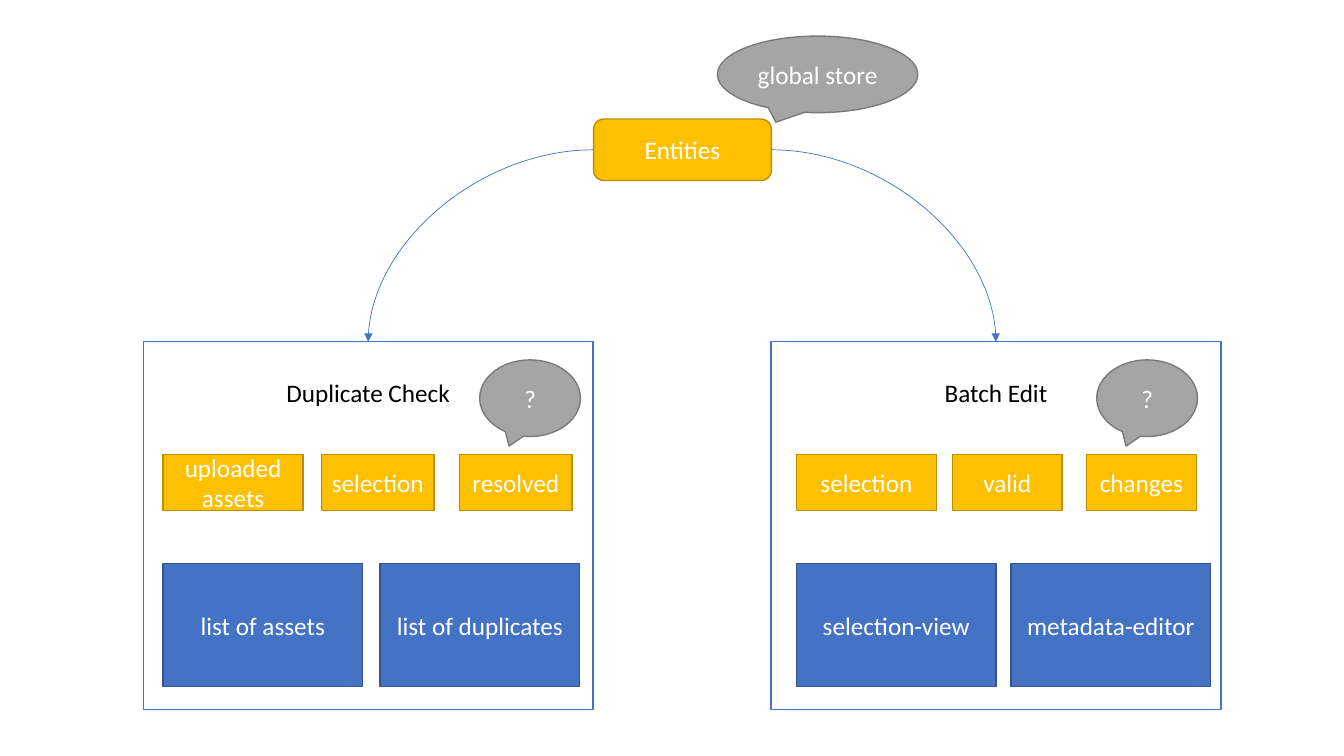
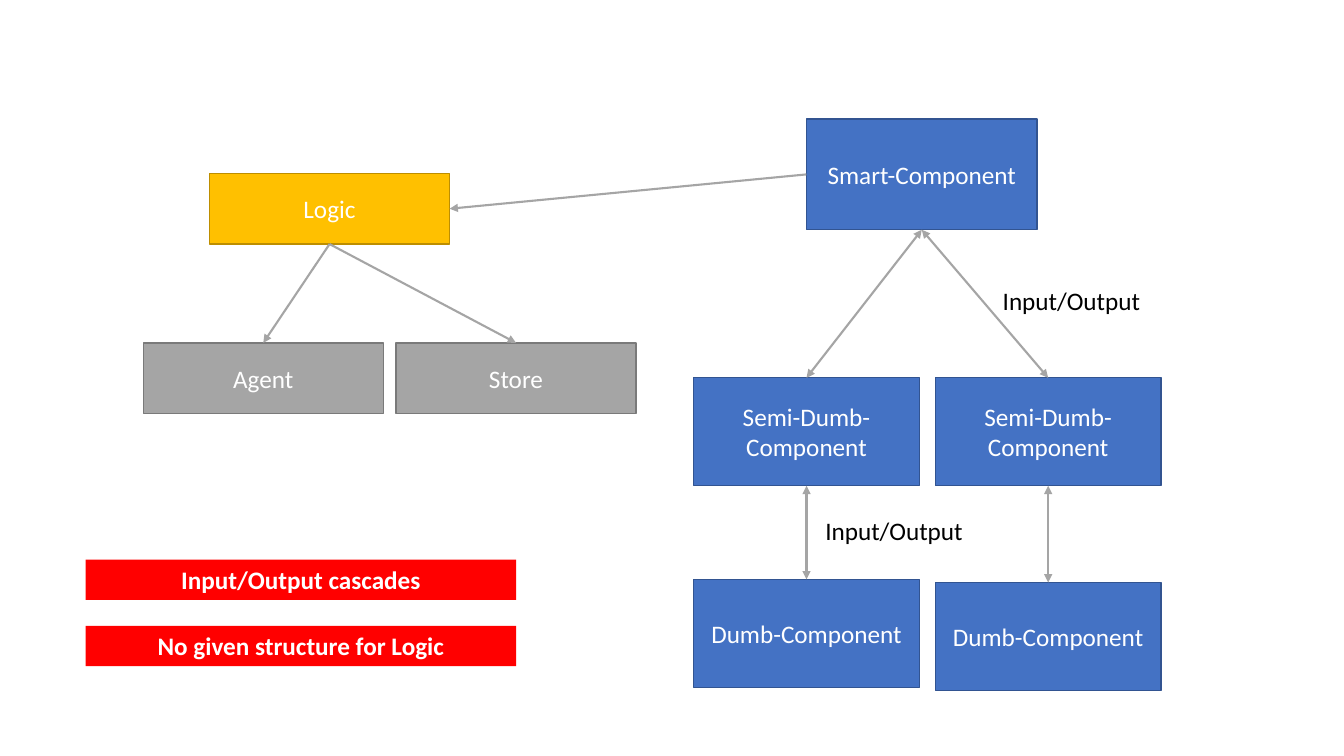
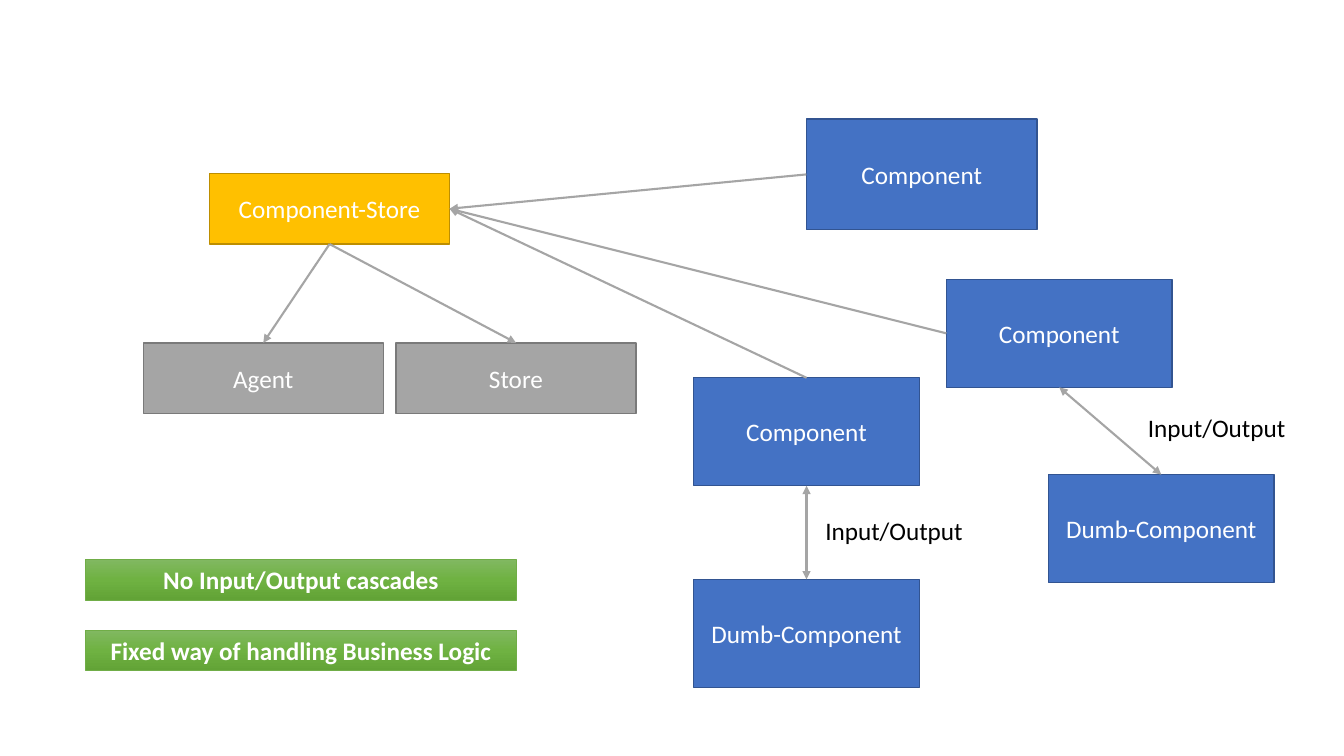
from copy import deepcopy

from lxml.etree import SubElement
from pptx import Presentation
from pptx.dml.color import RGBColor
from pptx.enum.shapes import MSO_CONNECTOR as CXN, MSO_SHAPE as SHAPE
from pptx.enum.text import MSO_ANCHOR as ANCHOR, MSO_AUTO_SIZE as AUTO, PP_ALIGN as ALIGN
from pptx.oxml.ns import qn
from pptx.util import Cm, Pt

BLUE, GOLD, GREY = ("4472C4", "325491"), ("FFC000", "BD8E00"), ("A5A5A5", "7A7A7A")
PANEL, RED = ("FFFFFF", "4472C4"), ("FF0000", None)
GREEN = (("81B861", "6FB242", "62A336"), "70AD47")
TOP, LEFT, BOTTOM, RIGHT = range(4)
COMPONENT = (5.69, 2.72)


def rgb(value):
    """Turn a hex string into a colour."""
    return RGBColor.from_string(value)


def write(tf, text, color="FFFFFF", bold=False, align=ALIGN.CENTER, anchor=ANCHOR.MIDDLE):
    """Put one formatted paragraph into a text frame."""
    tf.vertical_anchor = anchor
    p = tf.paragraphs[0]
    p.alignment = align
    r = p.add_run()
    r.text = text
    r.font.name, r.font.size, r.font.bold = "Calibri", Pt(18), bold
    r.font.color.rgb = rgb(color)


class Deck:
    """Holds the style and the current slide."""

    def __init__(self):
        """Start an empty widescreen presentation."""
        self.prs = Presentation()
        self.prs.slide_width, self.prs.slide_height = Cm(33.87), Cm(19.05)

    def new_slide(self):
        """Add a blank slide and make it current."""
        self.s = self.prs.slides.add_slide(self.prs.slide_layouts[6])

    def box(self, text, x, y, w, h, style=BLUE, kind=SHAPE.RECTANGLE, width=1, **fmt):
        """Draw a preset shape with text."""
        fill, line = style
        sp = self.s.shapes.add_shape(kind, Cm(x), Cm(y), Cm(w), Cm(h))
        sp.shadow.inherit = False
        if isinstance(fill, tuple):
            self.gradient(sp, fill)
        else:
            sp.fill.solid()
            sp.fill.fore_color.rgb = rgb(fill)
        if line:
            sp.line.color.rgb = rgb(line)
            sp.line.width = Pt(width)
        else:
            sp.line.fill.background()
        write(sp.text_frame, text, **fmt)
        return sp

    def gradient(self, sp, colors):
        """Fill a shape from top to bottom with three colours."""
        sp.fill.gradient()
        sp.fill.gradient_angle = 270
        stops = sp._element.spPr.find(".//" + qn("a:gsLst"))
        stops.insert(1, deepcopy(stops[0]))
        stops[1].set("pos", "50000")
        for stop, color in zip(sp.fill.gradient_stops, colors):
            stop.color.rgb = rgb(color)

    def panel(self, title, x):
        """Draw a framed panel with its title near the top."""
        sp = self.box(title, x, 8.61, 11.34, 9.27, PANEL, color="000000", anchor=ANCHOR.TOP)
        sp.text_frame.margin_top = Cm(0.9)
        return sp

    def callout(self, text, x, y, w):
        """Draw an oval speech bubble."""
        self.box(text, x, y, w, 1.93, GREY, SHAPE.OVAL_CALLOUT)

    def banner(self, text, y, style):
        """Draw a bold one-line verdict."""
        self.box(text, 2.16, y, 10.85, 1.02, style, width=0.5, bold=True, anchor=ANCHOR.TOP)

    def label(self, x, y, text="Input/Output"):
        """Write a free label beside an arrow."""
        tf = self.s.shapes.add_textbox(Cm(x), Cm(y), Cm(4.01), Cm(1.02)).text_frame
        tf.word_wrap, tf.auto_size = False, AUTO.SHAPE_TO_FIT_TEXT
        write(tf, text, color="000000", align=ALIGN.LEFT, anchor=ANCHOR.TOP)

    def arrow(self, start, start_side, end, end_side, both=False, curved=False):
        """Join two shapes with an arrow."""
        kind = CXN.CURVE if curved else CXN.STRAIGHT
        c = self.s.shapes.add_connector(kind, 0, 0, 0, 0)
        c.begin_connect(start, start_side)
        c.end_connect(end, end_side)
        c.line.color.rgb = rgb("4472C4" if curved else "A5A5A5")
        c.line.width = Pt(0.5 if curved else 1.5)
        pr = c._element.spPr
        if curved:
            pr.find(qn("a:prstGeom")).set("prst", "curvedConnector2")
        for tag in ("headEnd", "tailEnd") if both else ("tailEnd",):
            SubElement(pr.find(qn("a:ln")), qn("a:" + tag), type="triangle")
        SubElement(pr, qn("a:effectLst"))

    def logic_tree(self, name, root):
        """Draw the logic box with its two helpers and the root component using it."""
        top = self.box(root, 20.32, 3, 5.82, 2.79)
        logic = self.box(name, 5.28, 4.37, 6.05, 1.78, GOLD)
        for text, x in (("Agent", 3.61), ("Store", 9.98)):
            helper = self.box(text, x, 8.64, 6.05, 1.78, GREY)
            self.arrow(logic, BOTTOM, helper, TOP)
        self.arrow(top, LEFT, logic, RIGHT)
        return logic, top

    def component_pair(self, text, x, y, child_x, child_y):
        """Draw a component linked both ways with a dumb one below."""
        parent = self.box(text, x, y, *COMPONENT)
        child = self.box("Dumb-Component", child_x, child_y, *COMPONENT)
        self.arrow(parent, BOTTOM, child, TOP, both=True)
        return parent


def store_slide(d):
    """Show the global store feeding two views."""
    d.new_slide()
    entities = d.box("Entities", 14.96, 3, 4.48, 1.55, GOLD, SHAPE.ROUNDED_RECTANGLE)
    views = (
        ("Duplicate Check", 3.61, LEFT, 12.09,
         (("uploaded assets", 4.11, 3.53), ("selection", 8.1, 2.84), ("resolved", 11.58, 2.84)),
         (("list of assets", 4.11), ("list of duplicates", 9.58))),
        ("Batch Edit", 19.43, RIGHT, 27.64,
         (("selection", 20.07, 3.53), ("valid", 24, 2.77), ("changes", 27.38, 2.77)),
         (("selection-view", 20.07), ("metadata-editor", 25.48))),
    )
    for title, x, side, bubble_x, states, parts in views:
        panel = d.panel(title, x)
        d.arrow(entities, side, panel, TOP, curved=True)
        for text, state_x, w in states:
            d.box(text, state_x, 11.46, w, 1.4, GOLD)
        for text, part_x in parts:
            d.box(text, part_x, 14.2, 5.03, 3.1)
        d.callout("?", bubble_x, 9.07, 2.54)
    d.callout("global store", 18.08, 0.91, 5.05)


def cascade_slide(d):
    """Show inputs and outputs cascading through components."""
    d.new_slide()
    _, smart = d.logic_tree("Logic", "Smart-Component")
    for x, child_y in ((17.48, 14.6), (23.57, 14.68)):
        semi = d.component_pair("Semi-Dumb-Component", x, 9.52, x, child_y)
        d.arrow(smart, BOTTOM, semi, TOP, both=True)
    d.label(25.02, 7.06)
    d.label(20.55, 12.85)
    d.banner("Input/Output cascades", 14.1, RED)
    d.banner("No given structure for Logic", 15.77, RED)


def component_store_slide(d):
    """Show components that share one component store."""
    d.new_slide()
    store, _ = d.logic_tree("Component-Store", "Component")
    for x, y, child_x, child_y, side in ((17.48, 9.52, 17.48, 14.6, TOP),
                                         (23.85, 7.04, 26.42, 11.96, LEFT)):
        component = d.component_pair("Component", x, y, child_x, child_y)
        d.arrow(component, side, store, RIGHT)
    d.label(20.55, 12.85)
    d.label(28.68, 10.26)
    d.banner("No Input/Output cascades", 14.1, GREEN)
    d.banner("Fixed way of handling Business Logic", 15.88, GREEN)


def main():
    """Build and save the slides."""
    d = Deck()
    store_slide(d)
    cascade_slide(d)
    component_store_slide(d)
    d.prs.save("out.pptx")


if __name__ == "__main__":
    main()
